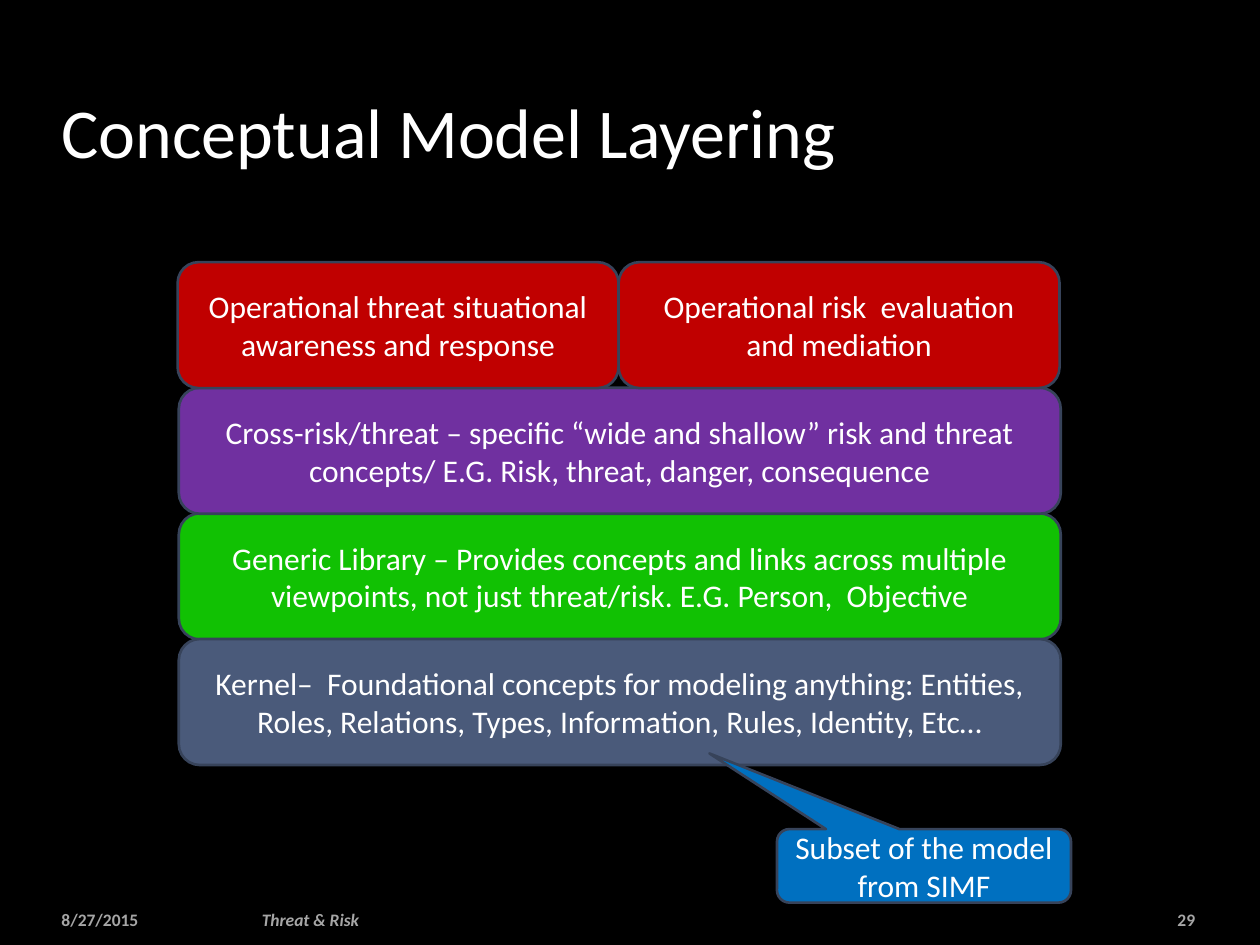
"""Build the Conceptual Model Layering slide."""
from dataclasses import dataclass

from pptx import Presentation
from pptx.dml.color import RGBColor
from pptx.enum.shapes import MSO_SHAPE
from pptx.enum.text import MSO_ANCHOR, PP_ALIGN
from pptx.util import Pt

ROUNDED = MSO_SHAPE.ROUNDED_RECTANGLE
CALLOUT = MSO_SHAPE.ROUNDED_RECTANGULAR_CALLOUT
MIDDLE, BOTTOM = MSO_ANCHOR.MIDDLE, MSO_ANCHOR.BOTTOM
LEFT, CENTER, RIGHT = PP_ALIGN.LEFT, PP_ALIGN.CENTER, PP_ALIGN.RIGHT


@dataclass(frozen=True)
class Theme:
    font: str = "Calibri"
    background: str = "000000"
    text: str = "FFFFFF"
    muted: str = "A6A6A6"
    outline: str = "37435A"
    operational: str = "C00000"
    cross_risk: str = "7030A0"
    generic: str = "11C103"
    kernel: str = "4A5A7A"
    callout: str = "0070C0"
    title_size: float = 40
    body_size: float = 18
    footer_size: float = 10
    outline_width: float = 1.5


@dataclass(frozen=True)
class Area:
    left: float
    top: float
    width: float
    height: float

    def lengths(self) -> tuple:
        return Pt(self.left), Pt(self.top), Pt(self.width), Pt(self.height)


@dataclass(frozen=True)
class Block:
    text: str
    fill: str
    area: Area


@dataclass(frozen=True)
class Label:
    text: str
    area: Area
    size: float
    color: str
    align: PP_ALIGN = LEFT
    anchor: MSO_ANCHOR = MIDDLE
    bold: bool = False
    italic: bool = False
    space_before: float = 0


THEME = Theme()
STACK_LEFT, STACK_TOP, STACK_WIDTH = 102.2, 149.8, 504
LAYER_HEIGHT, LAYER_STEP = 72, 71.8
HALF_WIDTH = STACK_WIDTH / 2
HALF_LEFT = STACK_LEFT - 0.7
FOOTER_TOP, FOOTER_HEIGHT = 515.5, 19.5


def layer_area(row: int) -> Area:
    return Area(STACK_LEFT, STACK_TOP + row * LAYER_STEP, STACK_WIDTH, LAYER_HEIGHT)


def half_area(column: int) -> Area:
    return Area(HALF_LEFT + column * HALF_WIDTH, STACK_TOP, HALF_WIDTH, LAYER_HEIGHT)


def footer(text: str, left: float, width: float, align: PP_ALIGN = LEFT,
           italic: bool = False) -> Label:
    return Label(text, Area(left, FOOTER_TOP, width, FOOTER_HEIGHT),
                 THEME.footer_size, THEME.muted, align, bold=True, italic=italic)


LABELS = [
    footer("8/27/2015", 28, 115),
    footer("29", 620.5, 69.5, RIGHT),
    footer("Threat & Risk", 142.5, 322, italic=True),
    Label("Conceptual Model Layering", Area(28, 18, 605, 84),
          THEME.title_size, THEME.text, anchor=BOTTOM, space_before=4),
]

LAYERS = [
    Block("Generic Library – Provides concepts and links across multiple viewpoints, "
          "not just threat/risk. E.G. Person,  Objective", THEME.generic, layer_area(2)),
    Block("Kernel–  Foundational concepts for modeling anything: Entities, Roles, "
          "Relations, Types, Information, Rules, Identity, Etc…", THEME.kernel, layer_area(3)),
    Block("Cross-risk/threat – specific “wide and shallow” risk and threat concepts/ "
          "E.G. Risk, threat, danger, consequence", THEME.cross_risk, layer_area(1)),
    Block("Operational threat situational awareness and response",
          THEME.operational, half_area(0)),
    Block("Operational risk  evaluation and mediation", THEME.operational, half_area(1)),
]

SUBSET_NOTE = Block("Subset of the model from SIMF", THEME.callout,
                    Area(444, 473.8, 168, 42))
SUBSET_POINTER = (-0.73, -1.53, 0.17)


def write_text(box, label: Label) -> None:
    frame = box.text_frame
    frame.text = label.text
    frame.word_wrap = True
    frame.vertical_anchor = label.anchor
    para = frame.paragraphs[0]
    para.alignment = label.align
    para.space_before = Pt(label.space_before)
    for span in para.runs:
        span.font.name = THEME.font
        span.font.size = Pt(label.size)
        span.font.bold = label.bold
        span.font.italic = label.italic
        span.font.color.rgb = RGBColor.from_string(label.color)


def draw_label(page, label: Label) -> None:
    write_text(page.shapes.add_textbox(*label.area.lengths()), label)


def draw_block(page, block: Block, preset: MSO_SHAPE = ROUNDED,
               adjustments: tuple = ()) -> None:
    box = page.shapes.add_shape(preset, *block.area.lengths())
    for index, value in enumerate(adjustments):
        box.adjustments[index] = value
    box.shadow.inherit = False
    box.fill.solid()
    box.fill.fore_color.rgb = RGBColor.from_string(block.fill)
    box.line.color.rgb = RGBColor.from_string(THEME.outline)
    box.line.width = Pt(THEME.outline_width)
    write_text(box, Label(block.text, block.area, THEME.body_size, THEME.text, CENTER))


def main() -> None:
    deck = Presentation()
    deck.slide_width, deck.slide_height = Pt(720), Pt(540)
    page = deck.slides.add_slide(deck.slide_layouts[6])
    page.background.fill.solid()
    page.background.fill.fore_color.rgb = RGBColor.from_string(THEME.background)
    for label in LABELS:
        draw_label(page, label)
    for layer in LAYERS:
        draw_block(page, layer)
    draw_block(page, SUBSET_NOTE, CALLOUT, SUBSET_POINTER)
    deck.save("out.pptx")


if __name__ == "__main__":
    main()
